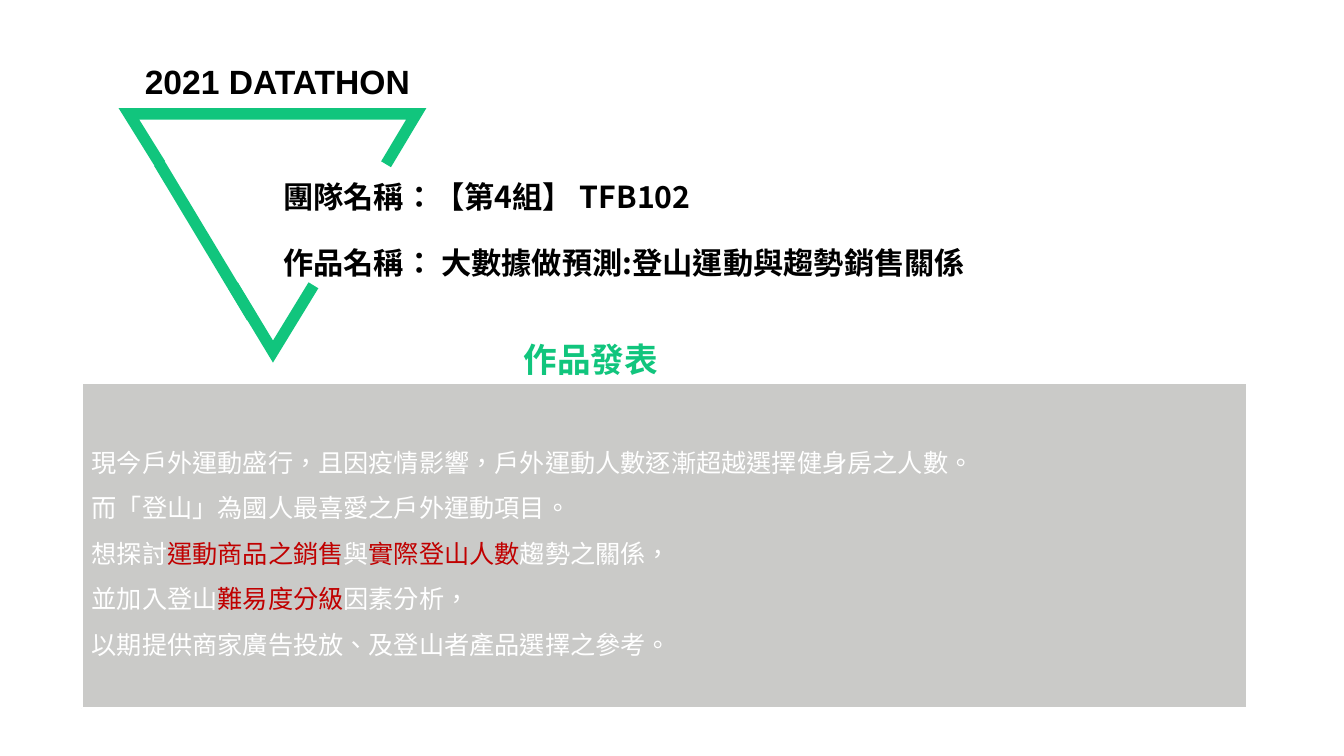
"""Build the opening slide of a datathon team presentation."""

from dataclasses import dataclass

import pptx
import pptx.dml.color
import pptx.enum.shapes
import pptx.enum.text
import pptx.oxml
import pptx.oxml.ns
import pptx.shapes.base
import pptx.shapes.group
import pptx.text.text
import pptx.util
from pptx.util import Cm

ANCHOR = pptx.enum.text.MSO_ANCHOR
ALIGN = pptx.enum.text.PP_ALIGN


@dataclass(frozen=True)
class Theme:
    green: str = "11C57D"
    black: str = "000000"
    white: str = "FFFFFF"
    red: str = "C00000"
    grey: str = "CACAC8"
    latin_font: str = "Arial"
    chinese_font: str = "Noto Sans CJK SC"
    heading_size: float = 24
    title_size: float = 21.6
    body_size: float = 18
    triangle_width: float = 8.19
    panel_width: float = 1.5


@dataclass(frozen=True)
class Box:
    left: float
    top: float
    width: float
    height: float


@dataclass(frozen=True)
class Style:
    size: float
    color: str
    font: str
    bold: bool = True
    align: ALIGN = ALIGN.LEFT
    line_points: float | None = None
    gap_points: float = 0


@dataclass(frozen=True)
class Run:
    text: str
    color: str | None = None


THEME = Theme()
HEADING_BOX = Box(2.72, 1.37, 8.31, 2.69)
TITLE_BOX = Box(6.88, 4.62, 21.56, 2.49)
SECTION_BOX = Box(12.95, 7.8, 7.57, 2.44)
PANEL_BOX = Box(2.06, 9.65, 29.36, 8.2)

HEADING_STYLE = Style(THEME.heading_size, THEME.black, THEME.latin_font, align=ALIGN.CENTER)
TITLE_STYLE = Style(THEME.title_size, THEME.black, THEME.chinese_font, line_points=23.4, gap_points=23.4)
SECTION_STYLE = Style(
    THEME.heading_size, THEME.green, THEME.chinese_font, align=ALIGN.JUSTIFY, line_points=46
)
SUMMARY_STYLE = Style(THEME.body_size, THEME.white, THEME.latin_font, bold=False, line_points=32.4)

TITLE = [
    [Run("團隊名稱：【第4組】 TFB102")],
    [Run("作品名稱： 大數據做預測:登山運動與趨勢銷售關係")],
]
SUMMARY = [
    [Run("現今戶外運動盛行，且因疫情影響，戶外運動人數逐漸超越選擇健身房之人數。")],
    [Run("而「登山」為國人最喜愛之戶外運動項目。")],
    [
        Run("想探討"),
        Run("運動商品之銷售", THEME.red),
        Run("與"),
        Run("實際登山人數", THEME.red),
        Run("趨勢之關係，"),
    ],
    [Run("並加入登山"), Run("難易度分級", THEME.red), Run("因素分析，")],
    [Run("以期提供商家廣告投放、及登山者產品選擇之參考。")],
]

TRIANGLE_TIP = [(5.87, 7.19), (6.88, 8.86), (7.9, 7.19)]
TRIANGLE_TOP = [(9.73, 4.14), (10.49, 2.87), (3.25, 2.87), (4.04, 4.14)]
TRIANGLE_SIDE = [(4.01, 4.11), (6.35, 8.0)]


def rgb(color: str) -> pptx.dml.color.RGBColor:
    """Turn a hexadecimal colour into a colour object."""
    return pptx.dml.color.RGBColor.from_string(color)


def place(shape: pptx.shapes.base.BaseShape, box: Box) -> None:
    """Move and size a shape."""
    shape.left, shape.top = Cm(box.left), Cm(box.top)
    shape.width, shape.height = Cm(box.width), Cm(box.height)


def add_run(paragraph: pptx.text.text._Paragraph, content: Run, style: Style) -> None:
    """Append one formatted run in Traditional Chinese."""
    run = paragraph.add_run()
    run.text = content.text
    run.font.size = pptx.util.Pt(style.size)
    run.font.bold = style.bold
    run.font.name = style.font
    run.font.color.rgb = rgb(content.color or style.color)
    properties = run._r.get_or_add_rPr()
    properties.set("lang", "zh-TW")
    east_asian = pptx.oxml.parse_xml(
        f'<a:ea {pptx.oxml.ns.nsdecls("a")} typeface="{THEME.chinese_font}"/>'
    )
    properties.find(pptx.oxml.ns.qn("a:latin")).addnext(east_asian)


def write(
    frame: pptx.text.text.TextFrame, lines: list[list[Run]], style: Style, anchor: ANCHOR
) -> None:
    """Fill a text frame with one paragraph per line."""
    frame.word_wrap = True
    frame.auto_size = pptx.enum.text.MSO_AUTO_SIZE.NONE
    frame.vertical_anchor = anchor
    for index, line in enumerate(lines):
        paragraph = frame.add_paragraph() if index else frame.paragraphs[0]
        paragraph.alignment = style.align
        paragraph.line_spacing = pptx.util.Pt(style.line_points) if style.line_points else 0.9
        paragraph.space_before = pptx.util.Pt(style.gap_points if index else 0)
        for content in line:
            add_run(paragraph, content, style)


def format_stroke(shape: pptx.shapes.base.BaseShape) -> None:
    """Give a triangle part its green stroke with sharp corners and no shadow."""
    shape.line.color.rgb = rgb(THEME.green)
    shape.line.width = pptx.util.Pt(THEME.triangle_width)
    namespace = pptx.oxml.ns.nsdecls("a")
    shape.line._get_or_add_ln().append(pptx.oxml.parse_xml(f'<a:miter {namespace} lim="800000"/>'))
    shape._element.spPr.append(pptx.oxml.parse_xml(f"<a:effectLst {namespace}/>"))


def add_outline(group: pptx.shapes.group.GroupShape, points: list[tuple[float, float]]) -> None:
    """Draw an open outline through the points."""
    start, *others = [(Cm(x), Cm(y)) for x, y in points]
    builder = group.shapes.build_freeform(*start)
    builder.add_line_segments(others, close=False)
    outline = builder.convert_to_shape()
    outline.fill.background()
    format_stroke(outline)


def main() -> None:
    """Compose and save the slide."""
    presentation = pptx.Presentation()
    presentation.slide_width, presentation.slide_height = Cm(33.87), Cm(19.05)
    slide = presentation.slides.add_slide(presentation.slide_layouts[5])

    panel = slide.shapes.add_shape(pptx.enum.shapes.MSO_SHAPE.RECTANGLE, 0, 0, 0, 0)
    place(panel, PANEL_BOX)
    panel.shadow.inherit = False
    panel.fill.solid()
    panel.fill.fore_color.rgb = rgb(THEME.grey)
    panel.line.color.rgb = rgb(THEME.white)
    panel.line.width = pptx.util.Pt(THEME.panel_width)
    write(panel.text_frame, SUMMARY, SUMMARY_STYLE, ANCHOR.MIDDLE)

    title = slide.shapes.title
    place(title, TITLE_BOX)
    title.text_frame.margin_bottom = Cm(0.05)
    write(title.text_frame, TITLE, TITLE_STYLE, ANCHOR.BOTTOM)

    section = slide.shapes.add_textbox(0, 0, 0, 0)
    place(section, SECTION_BOX)
    write(section.text_frame, [[Run("作品發表")]], SECTION_STYLE, ANCHOR.TOP)

    triangle = slide.shapes.add_group_shape()
    add_outline(triangle, TRIANGLE_TIP)
    add_outline(triangle, TRIANGLE_TOP)
    ends = [Cm(value) for point in TRIANGLE_SIDE for value in point]
    side = triangle.shapes.add_connector(pptx.enum.shapes.MSO_CONNECTOR.STRAIGHT, *ends)
    format_stroke(side)

    heading = slide.shapes.add_textbox(0, 0, 0, 0)
    place(heading, HEADING_BOX)
    heading.text_frame.margin_left = Cm(0.48)
    heading.text_frame.margin_bottom = Cm(1.5)
    write(heading.text_frame, [[Run("2021 DATATHON")]], HEADING_STYLE, ANCHOR.BOTTOM)

    presentation.save("out.pptx")


if __name__ == "__main__":
    main()
